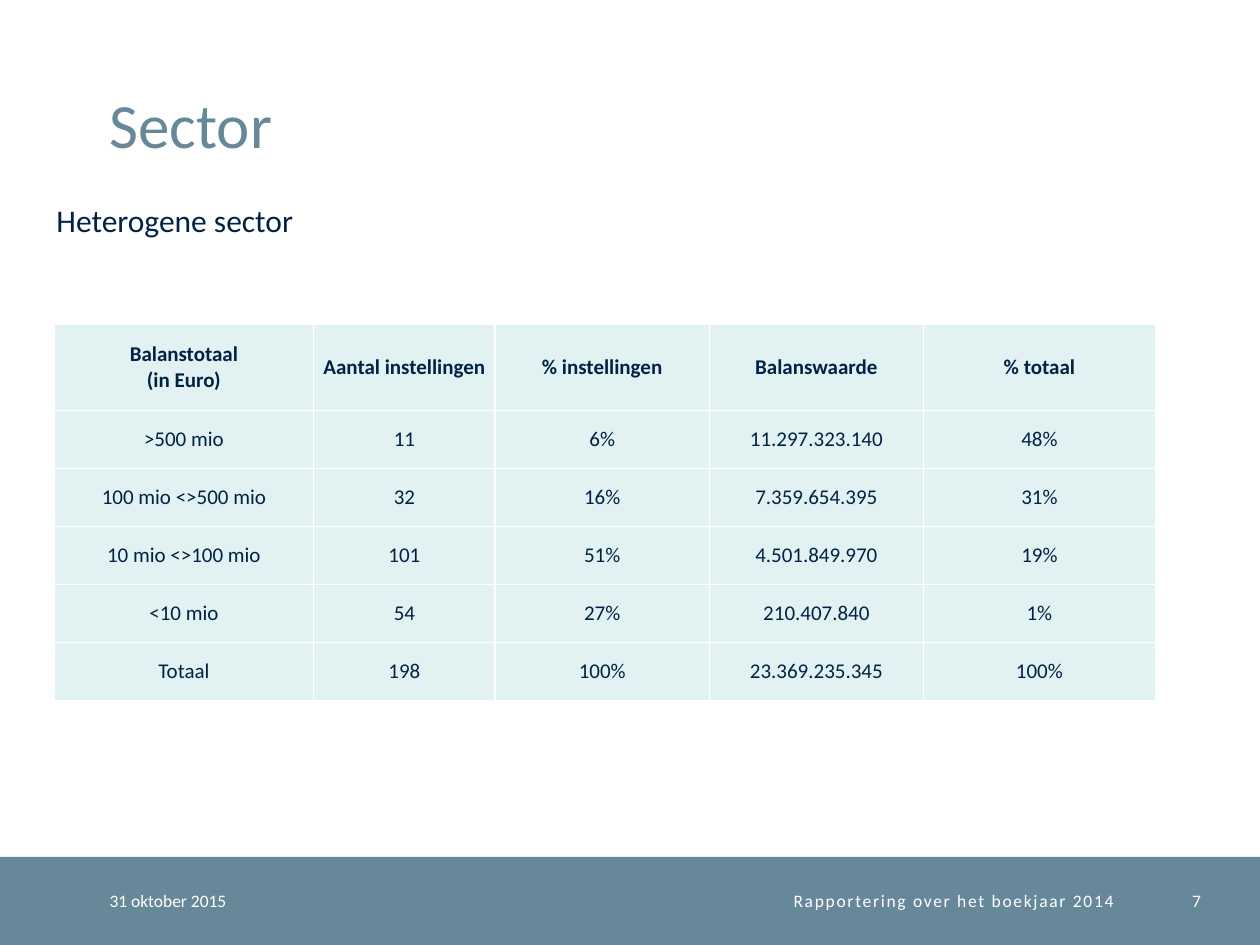
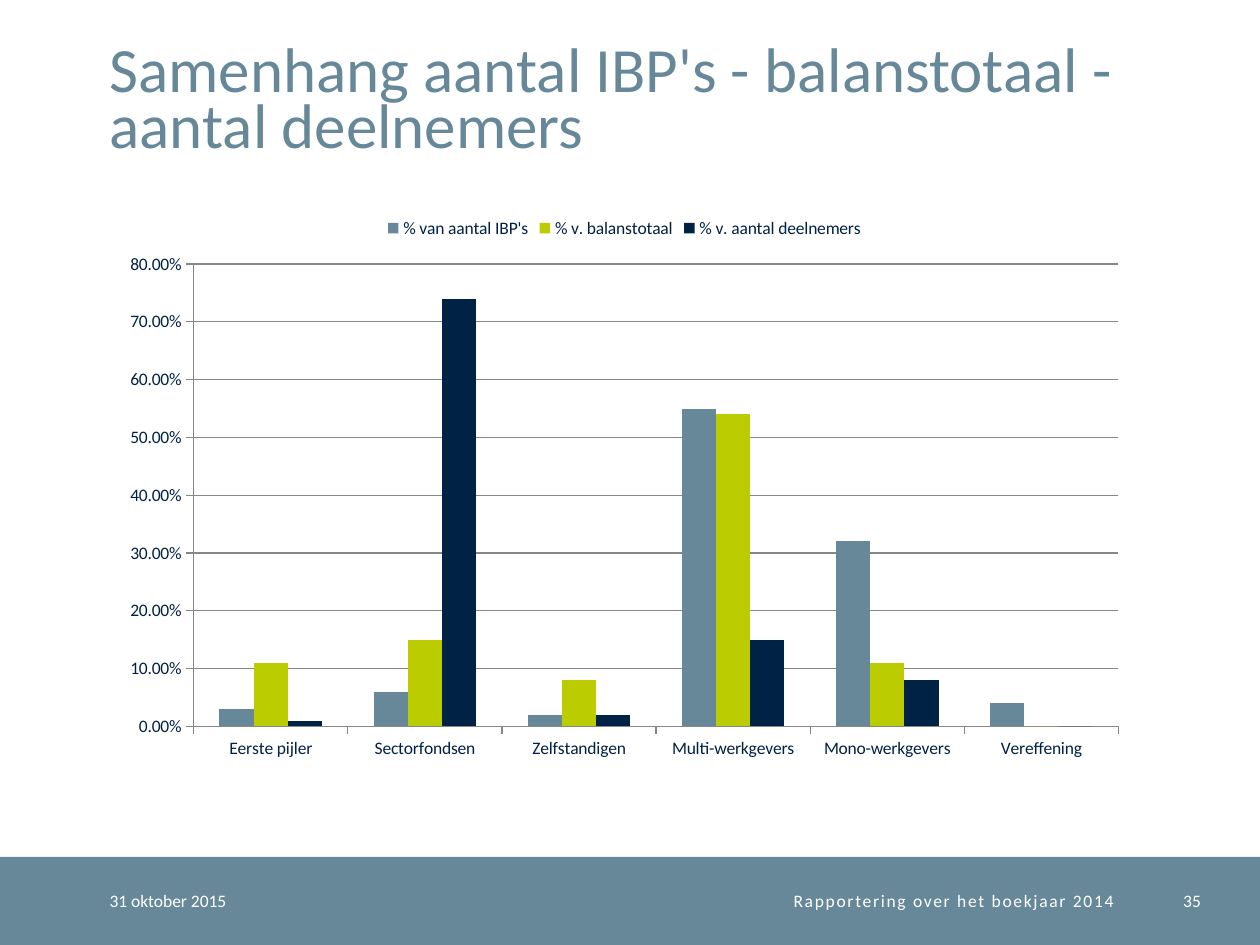
from pptx import Presentation
from pptx.chart.data import CategoryChartData
from pptx.dml.color import RGBColor
from pptx.enum.chart import XL_CHART_TYPE, XL_LEGEND_POSITION, XL_TICK_MARK
from pptx.enum.shapes import MSO_SHAPE
from pptx.enum.text import MSO_ANCHOR, MSO_AUTO_SIZE, PP_ALIGN
from pptx.util import Inches, Pt

FONT = "Calibri"
SLATE, NAVY, LIME = "668899", "002244", "BBCC00"
WHITE, PALE, GREY = "FFFFFF", "E2F2F2", "878787"

TITLE_BOX = (0.87, 0.2, 8.63, 1.08)
BAND_BOX = (0, 6.8, 10, 0.7)
SUBTITLE_BOX = (0.35, 1.55, 3.23, 0.4)
TABLE_BOX = (0.43, 2.57, 8.74, 2.99)
CHART_BOX = (0.87, 1.62, 8.17, 4.49)

COLUMN_WIDTHS = [2.06, 1.44, 1.7, 1.7, 1.84]
ROW_HEIGHTS = [0.69, 0.46, 0.46, 0.46, 0.46, 0.46]
SECTOR_ROWS = [
    ["Balanstotaal\n(in Euro)", "Aantal instellingen", "% instellingen", "Balanswaarde", "% totaal"],
    [">500 mio", "11", "6%", "11.297.323.140", "48%"],
    ["100 mio <>500 mio", "32", "16%", "7.359.654.395", "31%"],
    ["10 mio <>100 mio", "101", "51%", "4.501.849.970", "19%"],
    ["<10 mio", "54", "27%", "210.407.840", "1%"],
    ["Totaal", "198", "100%", "23.369.235.345", "100%"],
]

FUND_TYPES = ["Eerste pijler", "Sectorfondsen", "Zelfstandigen",
              "Multi-werkgevers", "Mono-werkgevers", "Vereffening"]
SHARES = [
    ("% van aantal IBP's", SLATE, [0.03, 0.06, 0.02, 0.55, 0.32, 0.04]),
    ("% v. balanstotaal", LIME, [0.11, 0.15, 0.08, 0.54, 0.11, 0]),
    ("% v. aantal deelnemers", NAVY, [0.01, 0.74, 0.02, 0.15, 0.08, 0]),
]


def color(value):
    return RGBColor.from_string(value)


def inches(box):
    return [Inches(length) for length in box]


def style_font(font, size, fill, bold=False):
    font.name, font.size, font.bold = FONT, Pt(size), bold
    font.color.rgb = color(fill)


def write_text(frame, text, size=10, fill=WHITE, bold=False,
               align=PP_ALIGN.LEFT, line=None, tracking=None):
    for index, content in enumerate(text.split("\n")):
        para = frame.add_paragraph() if index else frame.paragraphs[0]
        para.alignment = align
        if line:
            para.line_spacing = Pt(line)
        span = para.add_run()
        span.text = content
        style_font(span.font, size, fill, bold)
        if tracking:
            span._r.get_or_add_rPr().set("spc", str(tracking * 100))


def clear_insets(holder):
    holder.margin_left = holder.margin_right = 0
    holder.margin_top = holder.margin_bottom = 0


def add_label(page, box, text, **style):
    frame = page.shapes.add_textbox(*inches(box)).text_frame
    frame.word_wrap = True
    frame.vertical_anchor = MSO_ANCHOR.MIDDLE
    clear_insets(frame)
    write_text(frame, text, **style)


def add_title(page, box, text):
    title = page.shapes.title
    title.left, title.top, title.width, title.height = inches(box)
    frame = title.text_frame
    frame.auto_size = MSO_AUTO_SIZE.NONE
    frame.word_wrap = True
    frame.vertical_anchor = MSO_ANCHOR.BOTTOM
    clear_insets(frame)
    write_text(frame, text, size=36, fill=SLATE, line=32)


def add_footer(page, box, number):
    left, top, width, height = box
    band = page.shapes.add_shape(MSO_SHAPE.RECTANGLE, *inches(box))
    band.shadow.inherit = False
    band.fill.solid()
    band.fill.fore_color.rgb = color(SLATE)
    band.line.fill.background()
    add_label(page, (left + 0.87, top, 1.77, height), "31 oktober 2015")
    add_label(page, (left + 2.64, top, 6.2, height), "Rapportering over het boekjaar 2014",
              align=PP_ALIGN.RIGHT, tracking=1)
    add_label(page, (left + width - 0.96, top, 0.49, height), str(number), align=PP_ALIGN.RIGHT)


def add_page(deck, title, number):
    page = deck.slides.add_slide(deck.slide_layouts[5])
    add_footer(page, BAND_BOX, number)
    add_title(page, TITLE_BOX, title)
    return page


def add_subtitle(page, box, text):
    frame = page.shapes.add_textbox(*inches(box)).text_frame
    frame.word_wrap = True
    frame.auto_size = MSO_AUTO_SIZE.SHAPE_TO_FIT_TEXT
    write_text(frame, text, size=18, fill=NAVY)


def add_sector_table(page, box):
    table = page.shapes.add_table(len(SECTOR_ROWS), len(COLUMN_WIDTHS), *inches(box)).table
    table.first_row = table.horz_banding = False
    for column, width in zip(table.columns, COLUMN_WIDTHS):
        column.width = Inches(width)
    for row, height, texts in zip(table.rows, ROW_HEIGHTS, SECTOR_ROWS):
        row.height = Inches(height)
        for cell, text in zip(row.cells, texts):
            cell.fill.solid()
            cell.fill.fore_color.rgb = color(PALE)
            cell.vertical_anchor = MSO_ANCHOR.MIDDLE
            clear_insets(cell)
            write_text(cell.text_frame, text, size=12, fill=NAVY,
                       bold=texts is SECTOR_ROWS[0], align=PP_ALIGN.CENTER)


def add_share_chart(page, box):
    data = CategoryChartData(number_format="0.00%")
    data.categories = FUND_TYPES
    for name, _, values in SHARES:
        data.add_series(name, values)
    chart = page.shapes.add_chart(XL_CHART_TYPE.COLUMN_CLUSTERED, *inches(box), data).chart
    style_font(chart.font, 10, NAVY)
    chart.has_title = False
    chart.has_legend = True
    chart.legend.position = XL_LEGEND_POSITION.TOP
    chart.legend.include_in_layout = False
    plot = chart.plots[0]
    plot.vary_by_categories = False
    plot.gap_width, plot.overlap = 150, 0
    for series, (_, fill, _) in zip(plot.series, SHARES):
        series.format.fill.solid()
        series.format.fill.fore_color.rgb = color(fill)
        series.invert_if_negative = False
    value_axis = chart.value_axis
    value_axis.minimum_scale, value_axis.maximum_scale, value_axis.major_unit = 0, 0.8, 0.1
    value_axis.has_major_gridlines = True
    value_axis.tick_labels.number_format = "0.00%"
    value_axis.tick_labels.number_format_is_linked = False
    for axis in (chart.category_axis, value_axis):
        axis.major_tick_mark = XL_TICK_MARK.OUTSIDE
    for rule in (chart.category_axis.format, value_axis.format, value_axis.major_gridlines.format):
        rule.line.color.rgb = color(GREY)
        rule.line.width = Pt(0.75)


def build_sector_page(deck):
    page = add_page(deck, "Sector", 7)
    add_subtitle(page, SUBTITLE_BOX, "Heterogene sector")
    add_sector_table(page, TABLE_BOX)


def build_share_page(deck):
    page = add_page(deck, "Samenhang aantal IBP's - balanstotaal - aantal deelnemers", 35)
    add_share_chart(page, CHART_BOX)


def main():
    deck = Presentation()
    deck.slide_width, deck.slide_height = Inches(10), Inches(7.5)
    build_sector_page(deck)
    build_share_page(deck)
    deck.save("out.pptx")


if __name__ == "__main__":
    main()
